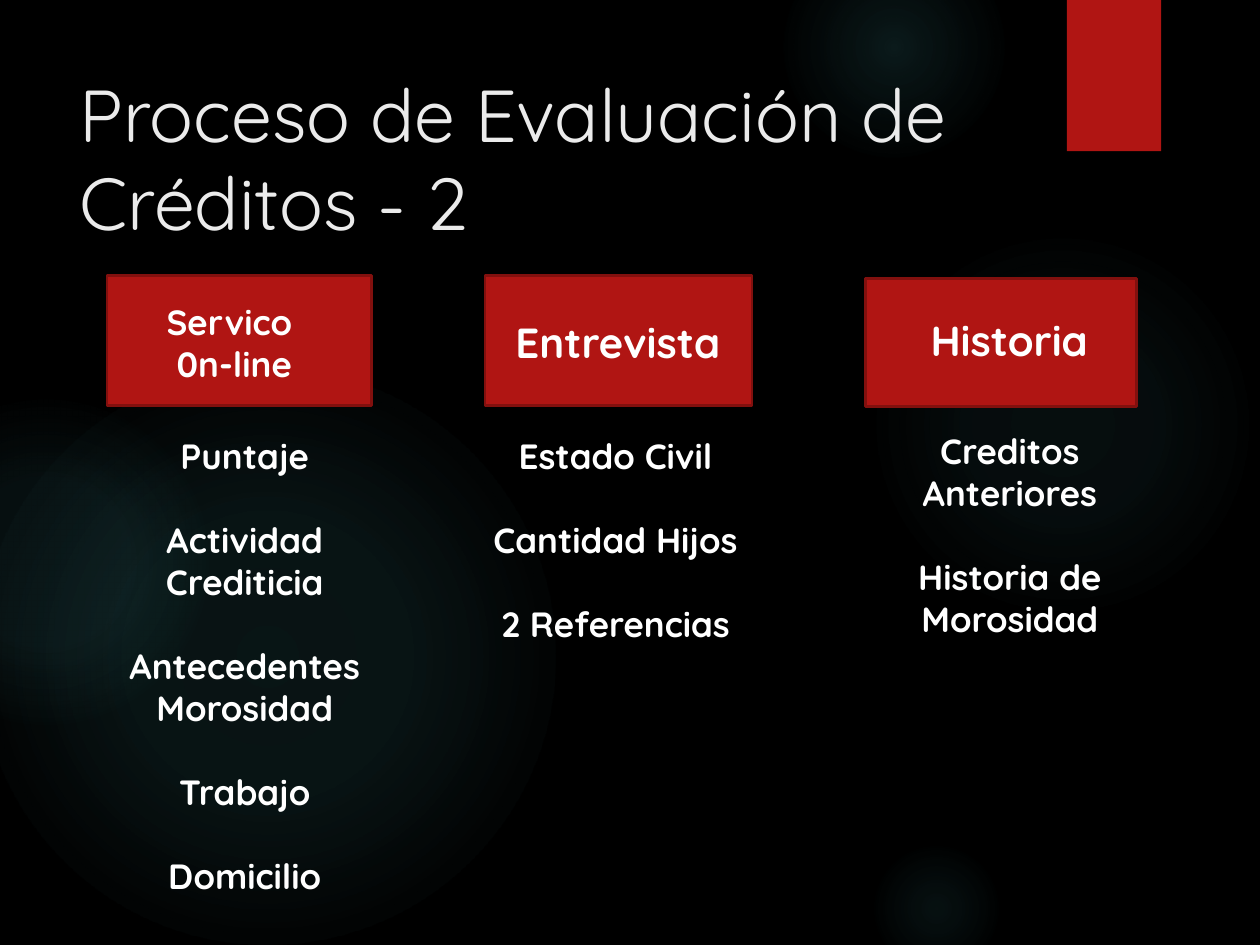
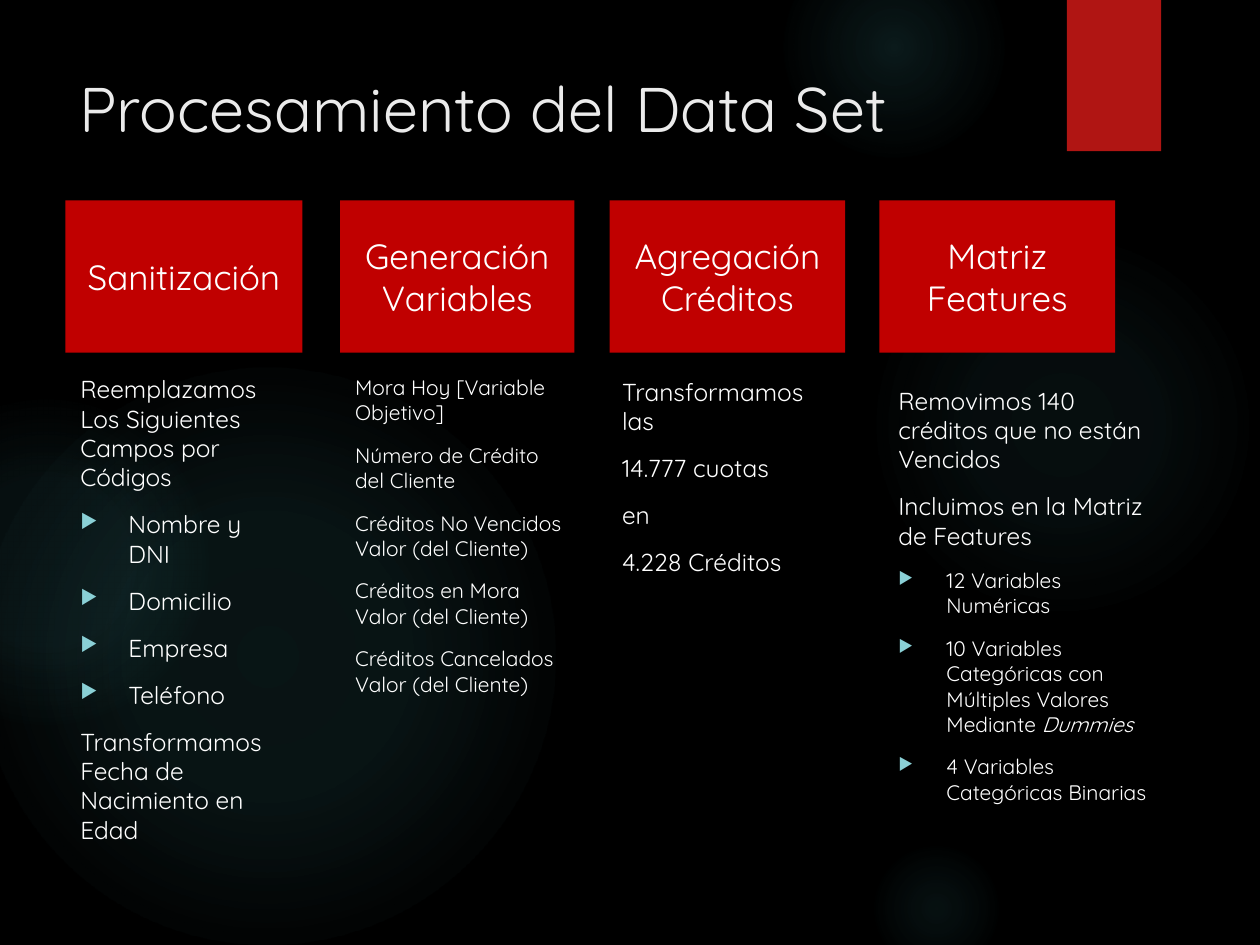
from dataclasses import dataclass

from lxml import etree
from pptx import Presentation
from pptx.dml.color import RGBColor
from pptx.enum.shapes import MSO_SHAPE
from pptx.enum.text import MSO_ANCHOR, PP_ALIGN
from pptx.oxml import parse_xml
from pptx.oxml.ns import qn
from pptx.util import Cm, Pt

RECTANGLE = MSO_SHAPE.RECTANGLE
OVAL = MSO_SHAPE.OVAL
MIDDLE = MSO_ANCHOR.MIDDLE
TOP = MSO_ANCHOR.TOP
LEFT = PP_ALIGN.LEFT
CENTER = PP_ALIGN.CENTER

BLACK = RGBColor(0x00, 0x00, 0x00)
WHITE = RGBColor(0xFF, 0xFF, 0xFF)
TITLE_GREY = RGBColor(0xEB, 0xEB, 0xEB)
BAND_RED = RGBColor(0xB0, 0x15, 0x13)
EDGE_RED = RGBColor(0x82, 0x10, 0x0E)
STEP_RED = RGBColor(0xC0, 0x00, 0x00)
GLOW_TEAL = RGBColor(0x50, 0xB9, 0xC1)
BULLET_TEAL = RGBColor(0x8A, 0xD0, 0xD6)
FONT = "Quicksand"
DRAWING_NS = "http://schemas.openxmlformats.org/drawingml/2006/main"

GLOWS = [
    (17.5, 4.65, 7.82, [(0, 7), (36, 6), (69, 0)]),
    (15.8, -1.27, 4.45, [(0, 14), (36, 7), (73, 0)]),
    (17.5, 16.94, 2.74, [(0, 9), (36, 5), (66, 0)]),
    (-0.43, 7.42, 11.63, [(0, 11), (36, 10), (75, 0)]),
    (-2.34, 8.05, 6.55, [(0, 8), (36, 8), (72, 0)]),
]


@dataclass
class Item:
    text: str
    size: int = 14
    bullet: bool = False
    italic_end: str = ""


EVALUATION_COLUMNS = [
    ((2.16, 5.56, 5.33, 2.62), (2.39, 5.94, 4.67, 1.96), ["Servico ", "0n-line"], 20,
     (1.8, 8.64, 6.27, 9.65),
     ["Puntaje", "Actividad Crediticia", "Antecedentes Morosidad", "Trabajo", "Domicilio"]),
    ((9.78, 5.56, 5.38, 2.62), (10.08, 6.25, 4.75, 1.27), ["Entrevista"], 24,
     (9.68, 8.64, 5.46, 7.09),
     ["Estado Civil", "Cantidad Hijos", "2 Referencias"]),
    ((17.45, 5.61, 5.46, 2.59), (18.34, 6.22, 4.01, 1.27), ["Historia"], 24,
     (17.73, 8.53, 5.26, 4.52),
     ["Creditos Anteriores", "Historia de Morosidad"]),
]

DATA_STEPS = [
    ("Sanitización", 1.32, 4.78, (1.37, 7.42, 4.72, 9.98), [
        Item("Reemplazamos Los Siguientes Campos por Códigos"),
        Item("Nombre y DNI", bullet=True),
        Item("Domicilio", bullet=True),
        Item("Empresa", bullet=True),
        Item("Teléfono", bullet=True),
        Item("Transformamos Fecha de Nacimiento en Edad"),
    ]),
    ("Generación Variables", 6.86, 4.72, (6.91, 7.42, 4.7, 9.88), [
        Item("Mora Hoy [Variable Objetivo]", 12),
        Item("Número de Crédito del Cliente", 12),
        Item("Créditos No Vencidos Valor (del Cliente)", 12),
        Item("Créditos en Mora Valor (del Cliente)", 12),
        Item("Créditos Cancelados Valor (del Cliente)", 12),
    ]),
    ("Agregación Créditos", 12.29, 4.75, (12.29, 7.47, 4.72, 9.98), [
        Item("Transformamos las"),
        Item("14.777 cuotas"),
        Item("en"),
        Item("4.228 Créditos"),
    ]),
    ("Matriz Features", 17.73, 4.75, (17.86, 7.65, 5.92, 9.98), [
        Item("Removimos 140 créditos que no están Vencidos"),
        Item("Incluimos en la Matriz de Features"),
        Item("12 Variables Numéricas", 12, True),
        Item("10 Variables Categóricas con Múltiples Valores Mediante ", 12, True, "Dummies"),
        Item("4 Variables Categóricas Binarias", 12, True),
    ]),
]


def place(area):
    return [Cm(length) for length in area]


def add_block(page, kind, area, fill, edge=None):
    block = page.shapes.add_shape(kind, *place(area))
    block.shadow.inherit = False
    if fill is None:
        block.fill.background()
    else:
        block.fill.solid()
        block.fill.fore_color.rgb = fill
    if edge is None:
        block.line.fill.background()
    else:
        block.line.color.rgb = edge
        block.line.width = Pt(1.5)
    return block


def add_glow(page, left, top, size, stops):
    glow = add_block(page, OVAL, (left, top, size, size), None)
    stop_xml = "".join(
        f'<a:gs pos="{position * 1000}"><a:srgbClr val="{GLOW_TEAL}">'
        f'<a:alpha val="{opacity * 1000}"/></a:srgbClr></a:gs>'
        for position, opacity in stops
    )
    gradient = parse_xml(
        f'<a:gradFill xmlns:a="{DRAWING_NS}" rotWithShape="1"><a:gsLst>{stop_xml}</a:gsLst>'
        '<a:path path="circle"><a:fillToRect l="50000" t="50000" r="50000" b="50000"/>'
        '</a:path></a:gradFill>'
    )
    properties = glow.element.spPr
    properties.replace(properties.find(qn("a:noFill")), gradient)


def add_span(para, text, size, color=WHITE, bold=False, italic=False):
    span = para.add_run()
    span.text = text
    span.font.name = FONT
    span.font.size = Pt(size)
    span.font.color.rgb = color
    span.font.bold = bold
    span.font.italic = italic


def add_para(frame, index, align=LEFT, space_before=0):
    para = frame.add_paragraph() if index else frame.paragraphs[0]
    para.alignment = align
    para.space_before = Pt(space_before)
    return para


def add_bullet(para):
    properties = para._p.get_or_add_pPr()
    properties.set("marL", str(Cm(0.97)))
    properties.set("indent", str(-Cm(0.97)))
    color = etree.SubElement(properties, qn("a:buClr"))
    etree.SubElement(color, qn("a:srgbClr"), val=str(BULLET_TEAL))
    etree.SubElement(properties, qn("a:buSzPct"), val="80000")
    etree.SubElement(properties, qn("a:buChar"), char="▶")


def add_box(page, area):
    box = page.shapes.add_textbox(*place(area))
    box.text_frame.word_wrap = True
    box.text_frame.vertical_anchor = TOP
    return box.text_frame


def add_bold_lines(page, area, lines, size, gap=0):
    frame = add_box(page, area)
    for index, line in enumerate(lines):
        para = add_para(frame, index, CENTER, gap if index else 0)
        add_span(para, line, size, bold=True)


def add_step(page, area, heading):
    frame = add_block(page, RECTANGLE, area, STEP_RED).text_frame
    frame.word_wrap = True
    frame.vertical_anchor = MIDDLE
    add_span(add_para(frame, 0, CENTER, 10), heading, 20)


def add_items(page, area, items):
    frame = add_box(page, area)
    for index, item in enumerate(items):
        para = add_para(frame, index, space_before=10)
        if item.bullet:
            add_bullet(para)
        add_span(para, item.text, item.size)
        if item.italic_end:
            add_span(para, item.italic_end, item.size, italic=True)


def add_page(deck, title, title_size):
    page = deck.slides.add_slide(deck.slide_layouts[6])
    page.background.fill.solid()
    page.background.fill.fore_color.rgb = BLACK
    for glow in GLOWS:
        add_glow(page, *glow)
    add_block(page, RECTANGLE, (21.51, 0, 1.9, 3.05), BAND_RED)
    frame = add_box(page, (1.35, 1.27, 19.61, 3.89))
    add_span(add_para(frame, 0), title, title_size, TITLE_GREY)
    return page


def add_evaluation_page(deck):
    page = add_page(deck, "Proceso de Evaluación de Créditos - 2", 42)
    for block_area, head_area, head, head_size, list_area, lines in EVALUATION_COLUMNS:
        add_block(page, RECTANGLE, block_area, BAND_RED, EDGE_RED)
        add_bold_lines(page, head_area, head, head_size)
        add_bold_lines(page, list_area, lines, 20, gap=24)


def add_data_page(deck):
    page = add_page(deck, "Procesamiento del Data Set", 36)
    for heading, left, width, list_area, items in DATA_STEPS:
        add_step(page, (left, 4.04, width, 3.07), heading)
        add_items(page, list_area, items)


def main():
    deck = Presentation()
    deck.slide_width = Cm(25.4)
    deck.slide_height = Cm(19.05)
    add_evaluation_page(deck)
    add_data_page(deck)
    deck.save("out.pptx")


if __name__ == "__main__":
    main()
